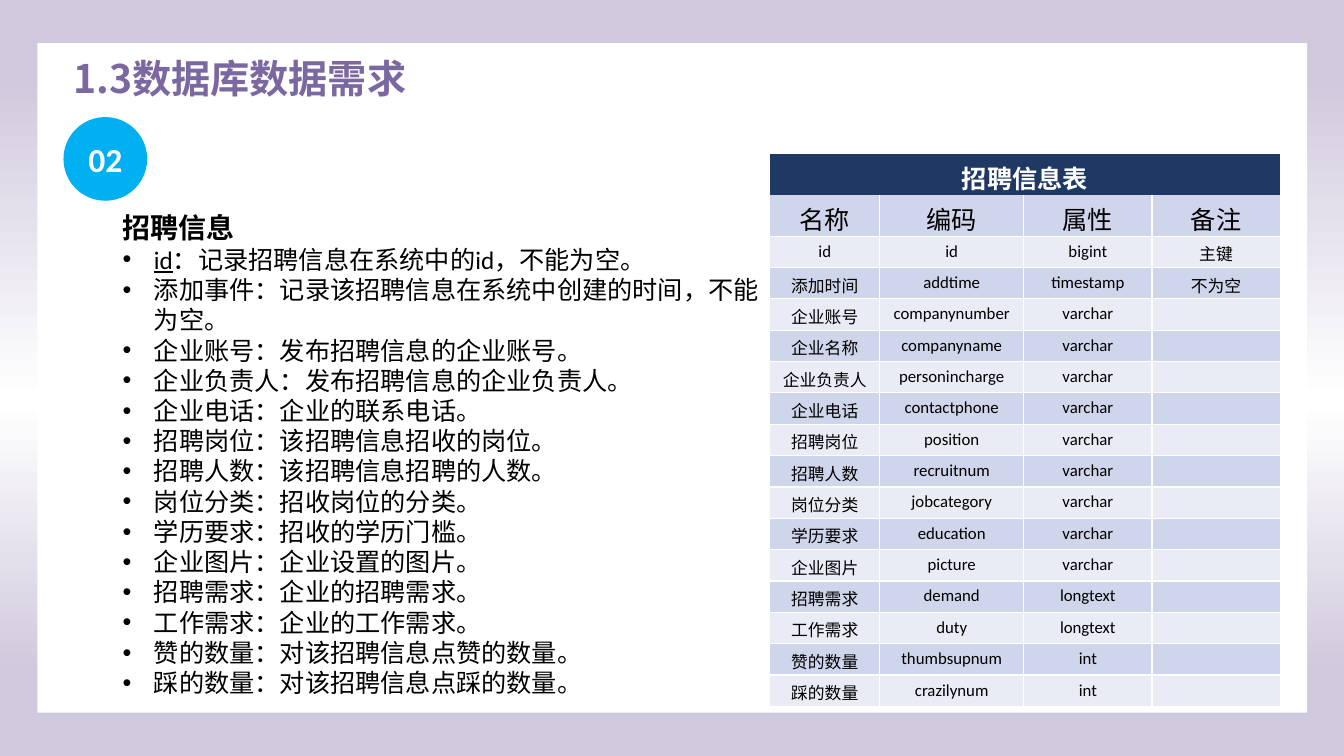
from lxml import etree
from pptx import Presentation
from pptx.dml.color import RGBColor
from pptx.enum.shapes import MSO_SHAPE
from pptx.enum.text import MSO_ANCHOR, PP_ALIGN
from pptx.oxml.ns import qn
from pptx.util import Cm, Pt

CENTER = PP_ALIGN.CENTER
MIDDLE = MSO_ANCHOR.MIDDLE
RECTANGLE = MSO_SHAPE.RECTANGLE
OVAL = MSO_SHAPE.OVAL

COLORS = {
    "lavender": "D0C9DD",
    "white": "FFFFFF",
    "black": "000000",
    "purple": "7B68A1",
    "sky": "00B0F0",
    "navy": "203864",
    "band_dark": "CFD5EA",
    "band_light": "E9EBF5",
}
TITLE_FONT = "Noto Sans CJK SC"
BODY_FONT = "Calibri"
PLAIN_TABLE_STYLE = "{2D5ABB26-0587-4C30-8999-92F81FD0307C}"
BACKGROUND_STOPS = [(10, "lavender"), (53, "white"), (89, "lavender")]

FIELD_NOTES = [
    "id：记录招聘信息在系统中的id，不能为空。",
    "添加事件：记录该招聘信息在系统中创建的时间，不能为空。",
    "企业账号：发布招聘信息的企业账号。",
    "企业负责人：发布招聘信息的企业负责人。",
    "企业电话：企业的联系电话。",
    "招聘岗位：该招聘信息招收的岗位。",
    "招聘人数：该招聘信息招聘的人数。",
    "岗位分类：招收岗位的分类。",
    "学历要求：招收的学历门槛。",
    "企业图片：企业设置的图片。",
    "招聘需求：企业的招聘需求。",
    "工作需求：企业的工作需求。",
    "赞的数量：对该招聘信息点赞的数量。",
    "踩的数量：对该招聘信息点踩的数量。",
]
TABLE_ROWS = [
    ("招聘信息表", "", "", ""),
    ("名称", "编码", "属性", "备注"),
    ("id", "id", "bigint", "主键"),
    ("添加时间", "addtime", "timestamp", "不为空"),
    ("企业账号", "companynumber", "varchar", ""),
    ("企业名称", "companyname", "varchar", ""),
    ("企业负责人", "personincharge", "varchar", ""),
    ("企业电话", "contactphone", "varchar", ""),
    ("招聘岗位", "position", "varchar", ""),
    ("招聘人数", "recruitnum", "varchar", ""),
    ("岗位分类", "jobcategory", "varchar", ""),
    ("学历要求", "education", "varchar", ""),
    ("企业图片", "picture", "varchar", ""),
    ("招聘需求", "demand", "longtext", ""),
    ("工作需求", "duty", "longtext", ""),
    ("赞的数量", "thumbsupnum", "int", ""),
    ("踩的数量", "crazilynum", "int", ""),
]
COLUMN_WIDTHS = [2.77, 3.63, 3.23, 3.23]


def rgb(name):
    return RGBColor.from_string(COLORS[name])


def add_color(parent, name):
    solid = etree.SubElement(parent, qn("a:srgbClr"))
    solid.set("val", COLORS[name])


def style_runs(paragraph, size, color, bold=False, font=BODY_FONT):
    for run in paragraph.runs:
        run.font.size = Pt(size)
        run.font.bold = bold
        run.font.name = font
        run.font.color.rgb = rgb(color)


def paint_background(slide):
    fill = slide.background.fill
    fill.gradient()
    fill.gradient_angle = 270
    stops = slide.background._cSld.find(".//" + qn("a:gsLst"))
    for stop in list(stops):
        stops.remove(stop)
    for percent, color in BACKGROUND_STOPS:
        stop = etree.SubElement(stops, qn("a:gs"))
        stop.set("pos", str(percent * 1000))
        add_color(stop, color)


def add_filled_shape(slide, kind, left, top, width, height, color):
    shape = slide.shapes.add_shape(kind, Cm(left), Cm(top), Cm(width), Cm(height))
    shape.shadow.inherit = False
    shape.fill.solid()
    shape.fill.fore_color.rgb = rgb(color)
    shape.line.fill.background()
    return shape


def add_title(slide, text):
    title = slide.shapes.add_textbox(Cm(1.6), Cm(1.37), Cm(10.08), Cm(1.45))
    frame = title.text_frame
    frame.margin_top = frame.margin_bottom = 0
    frame.text = text
    style_runs(frame.paragraphs[0], 28, "purple", True, TITLE_FONT)
    for run in frame.paragraphs[0].runs:
        east_asian = etree.SubElement(run.font._element, qn("a:ea"))
        east_asian.set("typeface", TITLE_FONT)


def add_badge(slide, number):
    badge = add_filled_shape(slide, OVAL, 1.6, 2.95, 2.11, 2.11, "sky")
    frame = badge.text_frame
    frame.vertical_anchor = MIDDLE
    frame.text = number
    frame.paragraphs[0].alignment = CENTER
    style_runs(frame.paragraphs[0], 24, "white", True)


def add_bullet(paragraph):
    properties = paragraph._p.get_or_add_pPr()
    properties.set("marL", str(Cm(0.79)))
    properties.set("indent", str(-Cm(0.79)))
    etree.SubElement(properties, qn("a:buFont")).set("typeface", "Arial")
    etree.SubElement(properties, qn("a:buChar")).set("char", "•")


def add_field_notes(slide, heading, notes):
    box = slide.shapes.add_textbox(Cm(2.84), Cm(5.18), Cm(16.56), Cm(12.65))
    frame = box.text_frame
    frame.word_wrap = True
    frame.text = heading
    style_runs(frame.paragraphs[0], 20, "black", True)
    for note in notes:
        paragraph = frame.add_paragraph()
        add_bullet(paragraph)
        field, colon, meaning = note.partition("：")
        if field == "id":
            key = paragraph.add_run()
            key.text = field
            key.font.underline = True
            paragraph.add_run().text = colon + meaning
        else:
            paragraph.add_run().text = note
        style_runs(paragraph, 18, "black")


def add_borders(cell, sides):
    properties = cell._tc.get_or_add_tcPr()
    for side in sides:
        line = etree.SubElement(properties, qn("a:ln" + side))
        line.set("w", str(Pt(1)))
        add_color(etree.SubElement(line, qn("a:solidFill")), "white")


def fill_cell(cell, text, size, color, background, sides, bold):
    add_borders(cell, sides)
    cell.fill.solid()
    cell.fill.fore_color.rgb = rgb(background)
    cell.text = text
    paragraph = cell.text_frame.paragraphs[0]
    paragraph.alignment = CENTER
    style_runs(paragraph, size, color, bold)
    if not text:
        ending = etree.SubElement(paragraph._p, qn("a:endParaRPr"))
        ending.set("sz", str(size * 100))


def add_field_table(slide, rows):
    frame = slide.shapes.add_table(
        len(rows), len(COLUMN_WIDTHS), Cm(19.4), Cm(3.89), Cm(12.86), Cm(13.87)
    )
    table = frame.table
    table._tbl.tblPr.find(qn("a:tableStyleId")).text = PLAIN_TABLE_STYLE
    for column, width in zip(table.columns, COLUMN_WIDTHS):
        column.width = Cm(width)
    for index, values in enumerate(rows):
        table.rows[index].height = Cm(1.03 if index < 2 else 0.79)
        size = 18 if index < 2 else 12
        background = "band_dark" if index % 2 else "band_light"
        color, sides = "black", "LRTB"
        if index == 0:
            background, color, sides = "navy", "white", ""
        elif index == 1:
            sides = "LRB"
        for cell, text in zip(table.rows[index].cells, values):
            fill_cell(cell, text, size, color, background, sides, index == 0)
    table.cell(0, 0).merge(table.cell(0, len(COLUMN_WIDTHS) - 1))


def main():
    presentation = Presentation()
    presentation.slide_width = Cm(33.87)
    presentation.slide_height = Cm(19.05)
    slide = presentation.slides.add_slide(presentation.slide_layouts[6])
    paint_background(slide)
    add_filled_shape(slide, RECTANGLE, 0.94, 1.09, 32, 16.87, "white")
    add_title(slide, "1.3数据库数据需求")
    add_field_table(slide, TABLE_ROWS)
    add_badge(slide, "02")
    add_field_notes(slide, "招聘信息", FIELD_NOTES)
    presentation.save("out.pptx")


if __name__ == "__main__":
    main()
